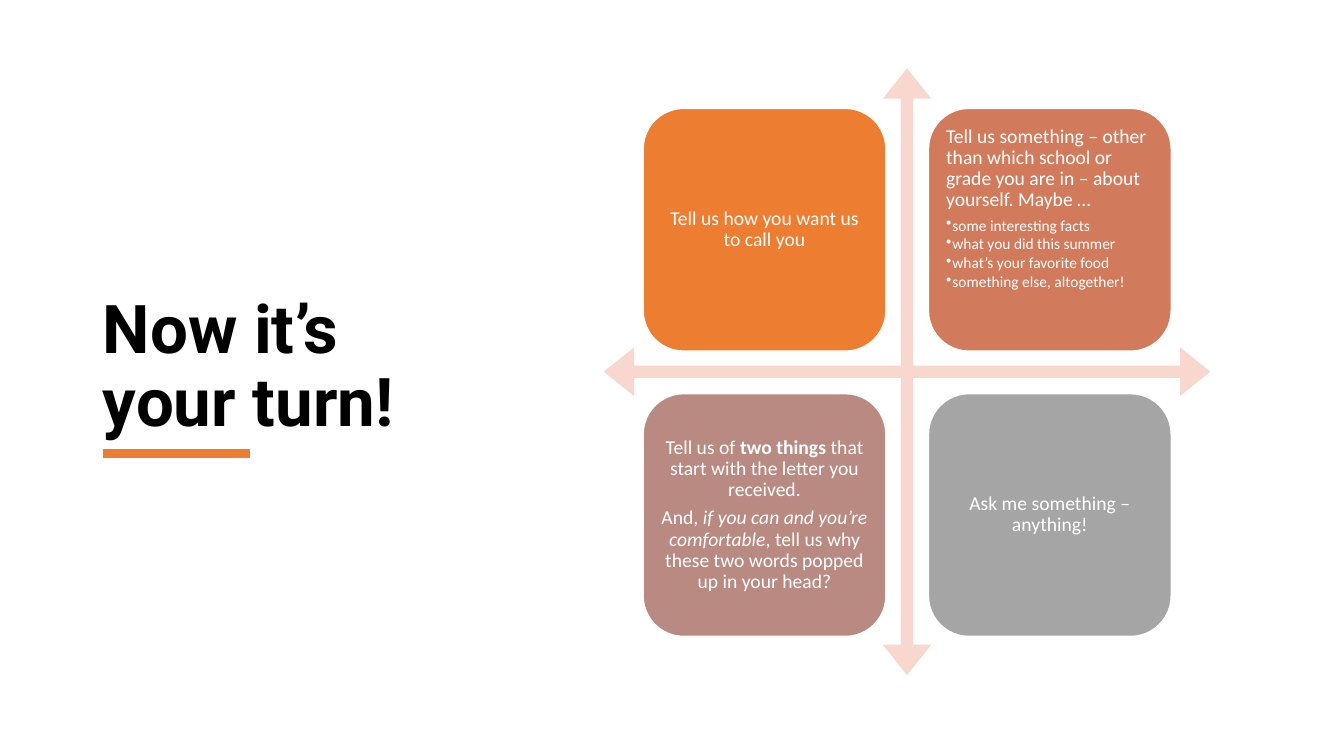
"""Build the "Now it's your turn!" slide with four prompts around a cross of arrows."""
import pptx
import pptx.dml.color
import pptx.enum.shapes
import pptx.enum.text
import pptx.oxml.ns
import pptx.util
from lxml import etree

Pt = pptx.util.Pt
RGBColor = pptx.dml.color.RGBColor
MSO_SHAPE = pptx.enum.shapes.MSO_SHAPE
PP_ALIGN = pptx.enum.text.PP_ALIGN
MSO_ANCHOR = pptx.enum.text.MSO_ANCHOR

BLACK = RGBColor(0x00, 0x00, 0x00)
WHITE = RGBColor(0xFF, 0xFF, 0xFF)
ORANGE = RGBColor(0xED, 0x7D, 0x31)
TERRACOTTA = RGBColor(0xD1, 0x7B, 0x5C)
DUSTY_ROSE = RGBColor(0xB9, 0x8A, 0x82)
GRAY = RGBColor(0xA5, 0xA5, 0xA5)
PALE_PINK = RGBColor(0xF8, 0xD7, 0xCE)

CARD_LEFT, CARD_TOP = 459.4, 77.4
CARD_SIZE, CARD_STEP = 173.4, 203.8

CALL_YOU = [[("Tell us how you want us to call you", "")]]
ABOUT_YOU = [[("Tell us something – other than which school or grade you are in – about yourself. Maybe …", "")]]
ABOUT_IDEAS = [
    "some interesting facts",
    "what you did this summer",
    "what’s your favorite food",
    "something else, altogether!",
]
TWO_THINGS = [
    [("Tell us of ", ""), ("two things", "bold"), (" that start with the letter you received.", "")],
    [("And, ", ""), ("if you can and you’re comfortable", "italic"),
     (", tell us why these two words popped up in your head?", "")],
]
ASK_ME = [[("Ask me something – anything!", "")]]


def add_title(slide, text):
    title = slide.shapes.title
    title.left, title.top, title.width, title.height = Pt(66.2), Pt(43.9), Pt(265.7), Pt(438.5)
    frame = title.text_frame
    frame.text = text
    frame.word_wrap = True
    frame.auto_size = pptx.enum.text.MSO_AUTO_SIZE.NONE
    frame.vertical_anchor = MSO_ANCHOR.MIDDLE
    paragraph = frame.paragraphs[0]
    paragraph.alignment = PP_ALIGN.LEFT
    paragraph.line_spacing = 0.9
    style_font(paragraph, "Roboto", 48, BLACK)
    paragraph.font.bold = True


def add_underline(slide):
    line = slide.shapes.add_connector(
        pptx.enum.shapes.MSO_CONNECTOR.STRAIGHT, Pt(73.4), Pt(324), Pt(178.6), Pt(324))
    line.line.color.rgb = ORANGE
    line.line.width = Pt(6)
    etree.SubElement(line.element.spPr, pptx.oxml.ns.qn("a:effectLst"))


def add_arrow_cross(slide):
    cross = slide.shapes.add_shape(MSO_SHAPE.QUAD_ARROW, Pt(431.2), Pt(48.8), Pt(433.4), Pt(433.4))
    cross.shadow.inherit = False
    cross.fill.solid()
    cross.fill.fore_color.rgb = PALE_PINK
    cross.line.fill.background()
    for index, share in enumerate((0.02, 0.04, 0.05)):
        cross.adjustments[index] = share


def style_font(paragraph, name, size, color):
    paragraph.font.name = name
    paragraph.font.size = Pt(size)
    paragraph.font.color.rgb = color


def add_bullet(paragraph):
    paragraph.level = 1
    properties = paragraph._p.get_or_add_pPr()
    indent = Pt(4.5)
    properties.set("marL", str(indent))
    properties.set("indent", str(-indent))
    etree.SubElement(properties, pptx.oxml.ns.qn("a:buChar"), char="•")


def fill_paragraph(paragraph, runs, alignment, size, space_after):
    for text, emphasis in runs:
        run = paragraph.add_run()
        run.text = text
        if emphasis == "bold":
            run.font.bold = True
        elif emphasis == "italic":
            run.font.italic = True
    paragraph.alignment = alignment
    paragraph.line_spacing = 0.9
    paragraph.space_after = Pt(space_after)
    style_font(paragraph, "Calibri", size, WHITE)


def add_card(slide, column, row, color, prompts, ideas=()):
    card = slide.shapes.add_shape(
        MSO_SHAPE.ROUNDED_RECTANGLE,
        Pt(CARD_LEFT + column * CARD_STEP), Pt(CARD_TOP + row * CARD_STEP),
        Pt(CARD_SIZE), Pt(CARD_SIZE))
    card.shadow.inherit = False
    card.fill.solid()
    card.fill.fore_color.rgb = color
    card.line.color.rgb = WHITE
    card.line.width = Pt(1)

    frame = card.text_frame
    frame.word_wrap = True
    frame.margin_left = frame.margin_right = frame.margin_top = frame.margin_bottom = Pt(4.2)
    frame.vertical_anchor = MSO_ANCHOR.TOP if ideas else MSO_ANCHOR.MIDDLE
    alignment = PP_ALIGN.LEFT if ideas else PP_ALIGN.CENTER
    for index, runs in enumerate(prompts):
        paragraph = frame.add_paragraph() if index else frame.paragraphs[0]
        fill_paragraph(paragraph, runs, alignment, 14, 4.9)
    for idea in ideas:
        paragraph = frame.add_paragraph()
        add_bullet(paragraph)
        fill_paragraph(paragraph, [(idea, "")], alignment, 11, 1.65)


def main():
    presentation = pptx.Presentation()
    presentation.slide_width = Pt(960)
    presentation.slide_height = Pt(540)
    slide = presentation.slides.add_slide(presentation.slide_layouts.get_by_name("Title Only"))

    add_title(slide, "Now it’s your turn!")
    add_arrow_cross(slide)
    add_card(slide, 0, 0, ORANGE, CALL_YOU)
    add_card(slide, 1, 0, TERRACOTTA, ABOUT_YOU, ABOUT_IDEAS)
    add_card(slide, 0, 1, DUSTY_ROSE, TWO_THINGS)
    add_card(slide, 1, 1, GRAY, ASK_ME)
    add_underline(slide)
    presentation.save("out.pptx")


if __name__ == "__main__":
    main()
